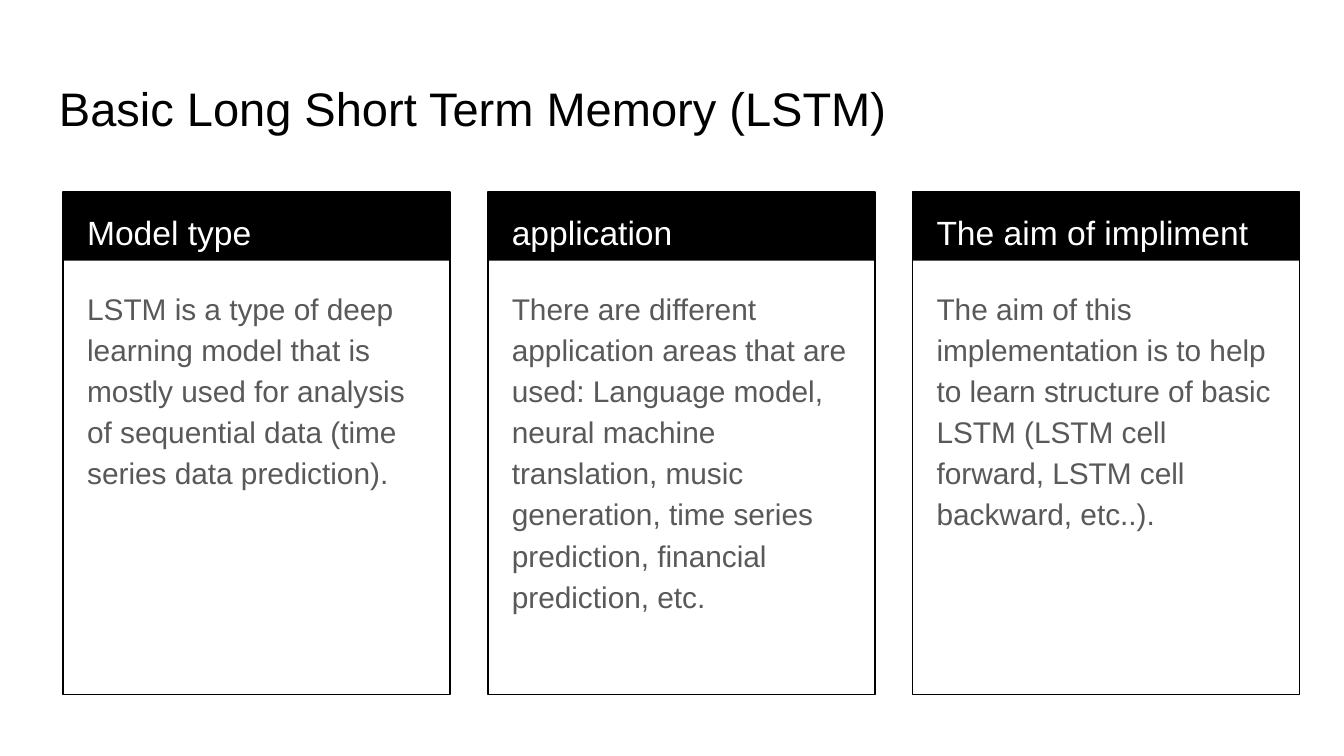
from dataclasses import dataclass

from pptx import Presentation
from pptx.dml.color import RGBColor
from pptx.enum.shapes import MSO_SHAPE as Shape
from pptx.enum.text import MSO_ANCHOR as Anchor
from pptx.util import Inches, Pt


@dataclass(frozen=True)
class Theme:
    font: str = "Arial"
    dark: RGBColor = RGBColor(0, 0, 0)
    light: RGBColor = RGBColor(255, 255, 255)
    grey: RGBColor = RGBColor(0x59, 0x59, 0x59)
    title_size: float = 25.2
    heading_size: float = 18
    body_size: float = 16
    border: float = 0.75


THEME = Theme()
SLIDE_WIDTH = 10
SLIDE_HEIGHT = SLIDE_WIDTH * 9 / 16
TITLE = "Basic Long Short Term Memory (LSTM)"
CARDS = [
    ("Model type",
     "LSTM is a type of deep learning model that is mostly used for analysis "
     "of sequential data (time series data prediction)."),
    ("application",
     "There are different application areas that are used: Language model, "
     "neural machine translation, music generation, time series prediction, "
     "financial prediction, etc."),
    ("The aim of impliment",
     "The aim of this implementation is to help to learn structure of basic "
     "LSTM (LSTM cell forward, LSTM cell backward, etc..)."),
]


def add_text(page, box, text, size, color, **spacing):
    """Place one wrapped paragraph; spacing holds paragraph format values."""
    frame = page.shapes.add_textbox(*map(Inches, box)).text_frame
    frame_format = {"word_wrap": True, "vertical_anchor": Anchor.TOP}
    for side in ("left", "right", "top", "bottom"):
        frame_format[f"margin_{side}"] = Inches(0.1)
    for name, value in frame_format.items():
        setattr(frame, name, value)
    para = frame.paragraphs[0]
    for name, value in spacing.items():
        setattr(para, name, value)
    span = para.add_run()
    span.text = text
    for name, value in {"name": THEME.font, "size": Pt(size)}.items():
        setattr(span.font, name, value)
    span.font.color.rgb = color


def add_rectangle(group, box):
    rectangle = group.shapes.add_shape(Shape.RECTANGLE, *map(Inches, box))
    rectangle.shadow.inherit = False
    return rectangle


def add_card(page, box, heading, body):
    """Draw a bordered card with a dark heading band and body text."""
    left, top, width, height = box
    group = page.shapes.add_group_shape()

    band = add_rectangle(group, (left, top, width, 0.51))
    band.fill.solid()
    band.fill.fore_color.rgb = THEME.dark
    band.line.fill.background()

    outline = add_rectangle(group, box)
    outline.fill.background()
    outline.line.color.rgb = THEME.dark
    outline.line.width = Pt(THEME.border)

    add_text(page, (left + 0.08, top, width - 0.15, 0.5), heading,
             THEME.heading_size, THEME.light, line_spacing=1.15)
    add_text(page, (left + 0.08, top + 0.59, width - 0.17, height - 0.68), body,
             THEME.body_size, THEME.grey, line_spacing=1.15, space_after=Pt(12))


def add_card_row(page, box, cards, gap):
    left, top, width, height = box
    card_width = (width - gap * (len(cards) - 1)) / len(cards)
    for index, (heading, body) in enumerate(cards):
        card_left = left + index * (card_width + gap)
        add_card(page, (card_left, top, card_width, height), heading, body)


def main():
    deck = Presentation()
    deck.slide_width, deck.slide_height = Inches(SLIDE_WIDTH), Inches(SLIDE_HEIGHT)
    page = deck.slides.add_slide(deck.slide_layouts[6])
    add_text(page, (0.34, 0.49, 9.32, 0.63), TITLE, THEME.title_size, THEME.dark)
    add_card_row(page, (0.47, 1.43, 9.2, 3.74), CARDS, gap=0.28)
    deck.save("out.pptx")


if __name__ == "__main__":
    main()
